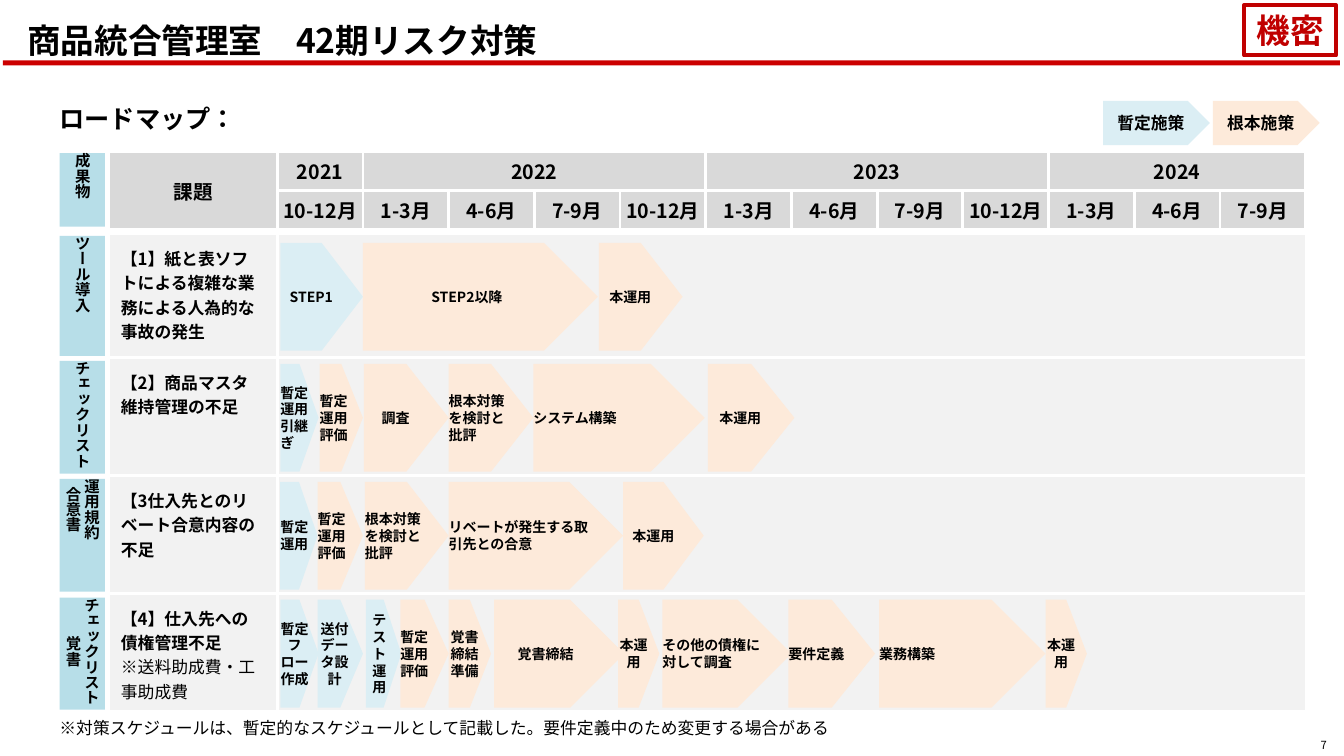
"""Build the risk-measures roadmap slide."""
from lxml import etree
from pptx import Presentation
from pptx.dml.color import RGBColor
from pptx.enum import shapes, text
from pptx.oxml import ns
from pptx.util import Inches, Pt

FONT = "Noto Sans CJK JP"
COLORS = {
    "black": "000000", "white": "FFFFFF", "bar": "CC0000", "stamp": "C00000",
    "header": "D9D9D9", "row": "F2F2F2", "label": "B7DEE8",
    "interim": "DBEEF4", "root": "FDEADA",
}
LEFT, CENTER, RIGHT, JUSTIFY = (
    text.PP_ALIGN.LEFT, text.PP_ALIGN.CENTER, text.PP_ALIGN.RIGHT, text.PP_ALIGN.JUSTIFY)
MIDDLE = text.MSO_ANCHOR.MIDDLE


def write(tf, words, size, align=LEFT, bold=True, color="black"):
    tf.text = words
    for p in tf.paragraphs:
        p.alignment = align
        p.line_spacing = 1.0
        for r in p.runs:
            r.font.name = FONT
            r.font.size = Pt(size)
            r.font.bold = bold
            r.font.color.rgb = RGBColor.from_string(COLORS[color])
            rPr = r._r.get_or_add_rPr()
            rPr.set("lang", "ja-JP")
            etree.SubElement(rPr, ns.qn("a:ea"), typeface=FONT)


def add_block(kind, x, y, w, h, fill=None):
    sp = s.shapes.add_shape(kind, Inches(x), Inches(y), Inches(w), Inches(h))
    sp.shadow.inherit = False
    sp.line.fill.background()
    if fill:
        sp.fill.solid()
        sp.fill.fore_color.rgb = RGBColor.from_string(COLORS[fill])
    else:
        sp.fill.background()
    tf = sp.text_frame
    tf.word_wrap = True
    tf.vertical_anchor = MIDDLE
    tf.margin_left = tf.margin_right = tf.margin_top = tf.margin_bottom = 0
    return sp


prs = Presentation()
prs.slide_width, prs.slide_height = Inches(13.33), Inches(7.5)
s = prs.slides.add_slide(prs.slide_layouts[5])
RECT, ARROW = shapes.MSO_SHAPE.RECTANGLE, shapes.MSO_SHAPE.PENTAGON

add_block(RECT, 0.03, 0.6, 13.26, 0.05, "bar")

title = s.shapes.title
title.left, title.top = Inches(0.17), Inches(0.04)
title.width, title.height = Inches(10.18), Inches(0.71)
title.text_frame.vertical_anchor = MIDDLE
write(title.text_frame, "商品統合管理室　42期リスク対策", 24)

stamp = add_block(RECT, 12.34, 0.05, 0.91, 0.5)
stamp.line.color.rgb = RGBColor.from_string(COLORS["stamp"])
stamp.line.width = Pt(3)
write(stamp.text_frame, "機密", 24, CENTER, color="stamp")

notes = [
    (0.59, 1.02, 11.97, 0.61, "ロードマップ：", 18, JUSTIFY, True),
    (0.59, 7.12, 12.5, 0.2,
     "※対策スケジュールは、暫定的なスケジュールとして記載した。要件定義中のため変更する場合がある",
     12, JUSTIFY, False),
    (12.83, 7.32, 0.33, 0.13, "7", 8, RIGHT, False),
]
for x, y, w, h, words, size, align, bold in notes:
    tf = s.shapes.add_textbox(Inches(x), Inches(y), Inches(w), Inches(h)).text_frame
    tf.word_wrap = True
    tf.margin_left = tf.margin_right = tf.margin_top = tf.margin_bottom = 0
    write(tf, words, size, align, bold)

header = s.shapes.add_table(
    2, 13, Inches(1.08), Inches(1.5), Inches(11.89), Inches(0.77)).table
issues = s.shapes.add_table(
    4, 2, Inches(1.08), Inches(2.32), Inches(11.88), Inches(4.74)).table
tables = [
    (header, [1.67] + [0.85] * 12, [0.39] * 2, 0.01, "header"),
    (issues, [1.67, 10.21], [1.23] + [1.17] * 3, 0.12, "row"),
]
for table, widths, heights, margin, fill in tables:
    table.first_row = table.horz_banding = False
    for column, width in zip(table.columns, widths):
        column.width = Inches(width)
    for row, height in zip(table.rows, heights):
        row.height = Inches(height)
    for cell in table.iter_cells():
        cell.margin_left = cell.margin_right = Inches(margin)
        cell.margin_top = cell.margin_bottom = Inches(margin)
        tcPr = cell._tc.get_or_add_tcPr()
        for side in ("lnL", "lnR", "lnT", "lnB"):
            ln = etree.SubElement(tcPr, ns.qn("a:" + side), w=str(Pt(2.25)))
            solid = etree.SubElement(ln, ns.qn("a:solidFill"))
            etree.SubElement(solid, ns.qn("a:srgbClr"), val=COLORS["white"])
        cell.fill.solid()
        cell.fill.fore_color.rgb = RGBColor.from_string(COLORS[fill])

header.cell(0, 0).merge(header.cell(1, 0))
heads = [(0, 0, "課題")]
for year, first, last in [("2021", 1, 1), ("2022", 2, 5), ("2023", 6, 9), ("2024", 10, 12)]:
    if last > first:
        header.cell(0, first).merge(header.cell(0, last))
    heads.append((0, first, year))
quarters = ["10-12月", "1-3月", "4-6月", "7-9月"]
heads += [(1, i + 1, quarters[i % 4]) for i in range(12)]
for row, col, words in heads:
    cell = header.cell(row, col)
    cell.vertical_anchor = MIDDLE
    write(cell.text_frame, words, 14, CENTER)

issue_texts = [
    "【1】紙と表ソフトによる複雑な業務による人為的な事故の発生",
    "【2】商品マスタ維持管理の不足",
    "【3仕入先とのリベート合意内容の不足",
    "【4】仕入先への債権管理不足\n※送料助成費・工事助成費",
]
for i, words in enumerate(issue_texts):
    write(issues.cell(i, 0).text_frame, words, 12)
issues.cell(3, 0).text_frame.paragraphs[1].runs[0].font.bold = False

labels = [
    (1.52, 0.73, "成果物"), (2.34, 1.19, "ツール導入"), (3.58, 1.12, "チェックリスト"),
    (4.75, 1.12, "運用規約\n合意書"), (5.93, 1.11, "チェックリスト\n覚書"),
]
for y, h, words in labels:
    tf = add_block(RECT, 0.59, y, 0.45, h, "label").text_frame
    tf._txBody.bodyPr.set("vert", "eaVert")
    write(tf, words, 11, CENTER)

for x, words, fill in [(10.94, "暫定施策", "interim"), (12.03, "根本施策", "root")]:
    write(add_block(ARROW, x, 1, 1.06, 0.44, fill).text_frame, words, 12, CENTER)

lanes = {
    2.41: [
        (2.78, 0.82, "STEP1", "interim", CENTER),
        (3.6, 2.33, "STEP2以降", "root", CENTER),
        (5.94, 0.83, "本運用", "root", CENTER),
    ],
    3.61: [
        (2.78, 0.38, "暫定運用引継ぎ", "interim", LEFT),
        (3.17, 0.43, "暫定運用評価", "root", LEFT),
        (3.61, 0.84, "調査", "root", CENTER),
        (4.45, 0.84, "根本対策を検討と批評", "root", LEFT),
        (5.29, 1.7, "システム構築", "root", LEFT),
        (7.02, 0.86, "本運用", "root", CENTER),
    ],
    4.78: [
        (2.78, 0.37, "暫定運用", "interim", CENTER),
        (3.15, 0.45, "暫定運用評価", "root", LEFT),
        (3.62, 0.83, "根本対策を検討と批評", "root", LEFT),
        (4.45, 1.73, "リベートが発生する取引先との合意", "root", LEFT),
        (6.18, 0.8, "本運用", "root", CENTER),
    ],
    5.95: [
        (2.78, 0.38, "暫定フロー作成", "interim", CENTER),
        (3.15, 0.45, "送付データ設計", "interim", CENTER),
        (3.63, 0.35, "テスト運用", "interim", CENTER),
        (3.97, 0.48, "暫定運用評価", "root", LEFT),
        (4.45, 0.42, "覚書締結準備", "root", CENTER),
        (4.9, 1.29, "覚書締結", "root", CENTER),
        (6.13, 0.41, "本運用", "root", CENTER),
        (6.57, 1.28, "その他の債権に対して調査", "root", LEFT),
        (7.82, 0.86, "要件定義", "root", LEFT),
        (8.72, 1.65, "業務構築", "root", LEFT),
        (10.37, 0.41, "本運用", "root", CENTER),
    ],
}
for y, steps in lanes.items():
    for x, w, words, fill, align in steps:
        write(add_block(ARROW, x, y, w, 1.07, fill).text_frame, words, 10, align)

prs.save("out.pptx")
